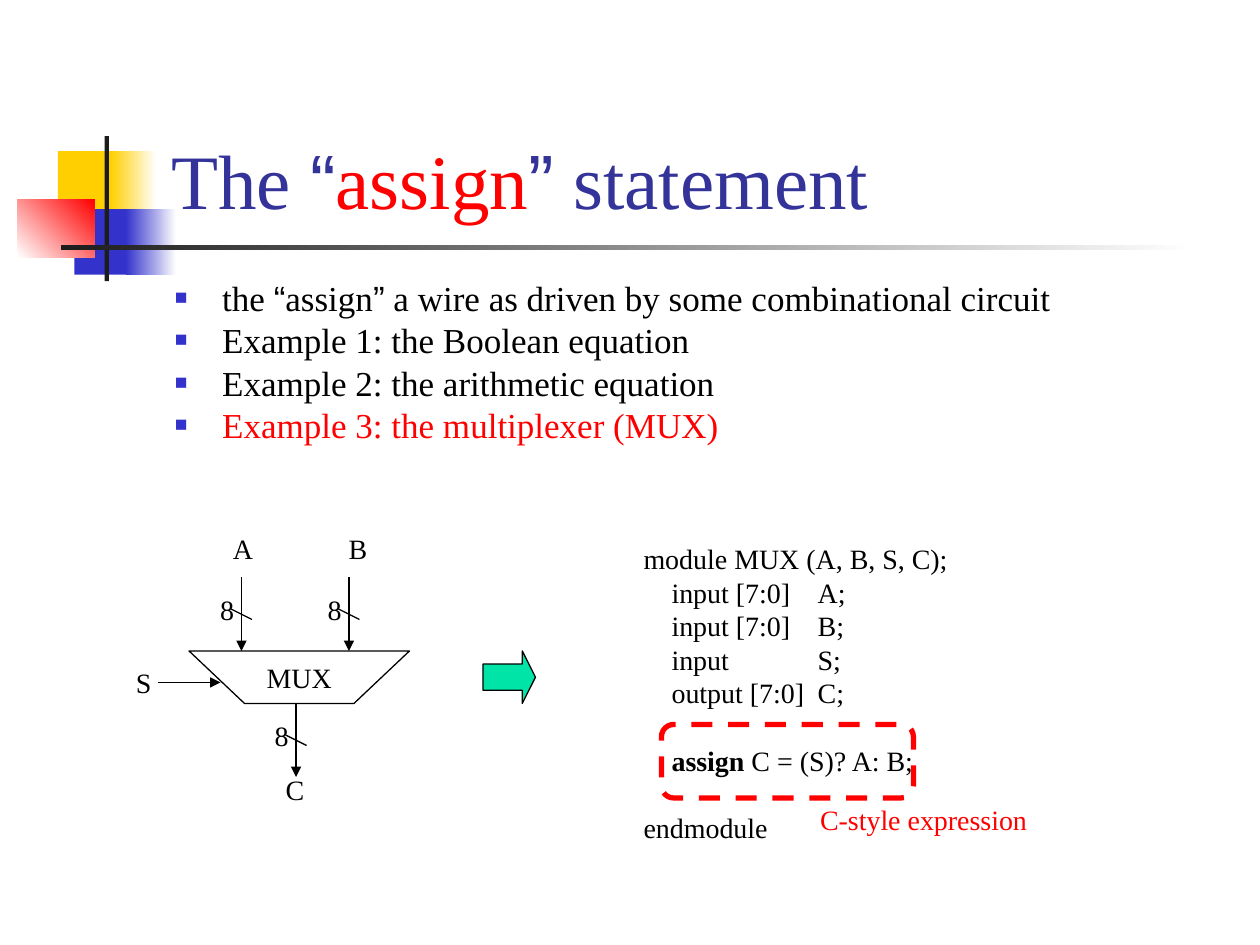
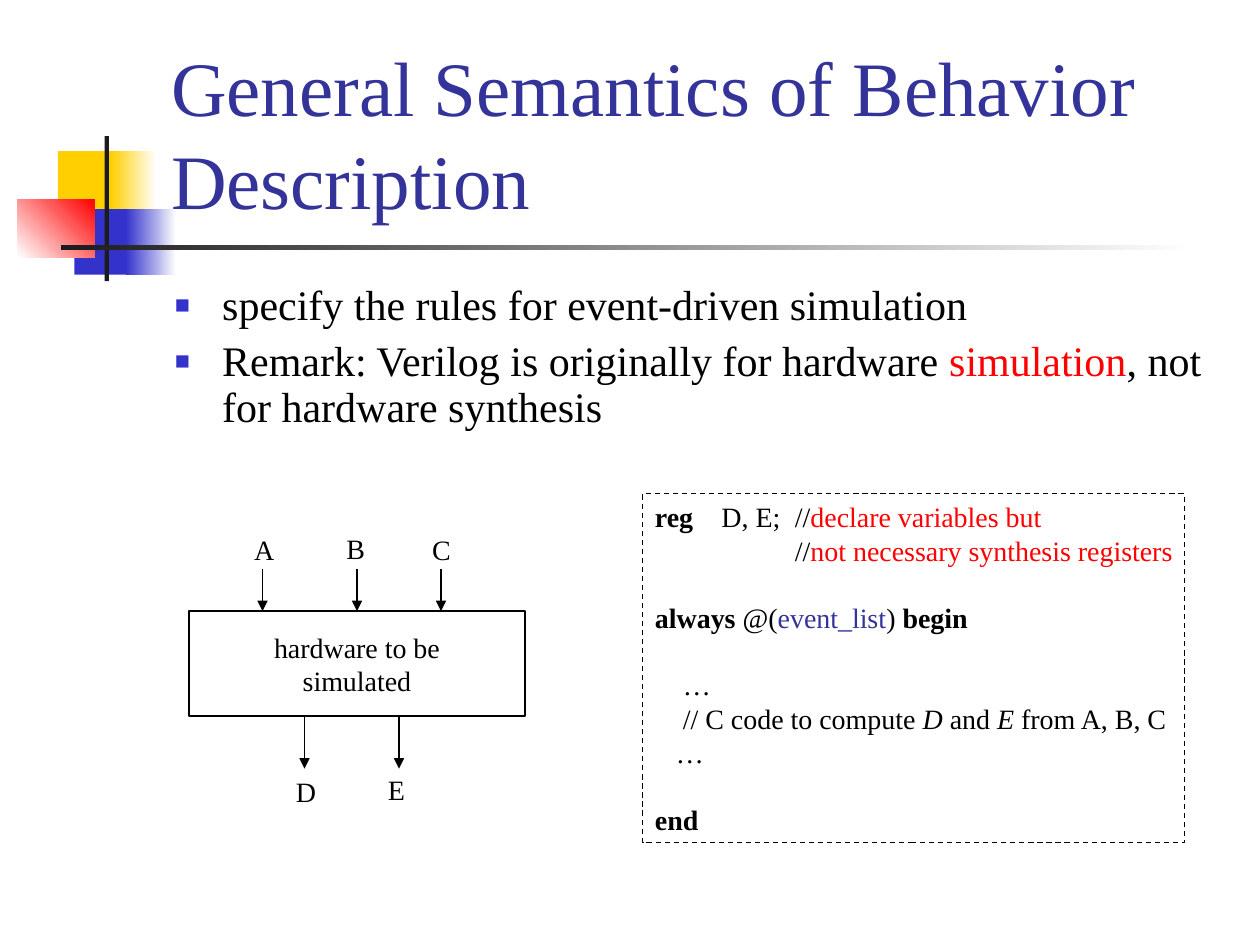
from lxml import etree
from pptx import Presentation
from pptx import util as u
from pptx.dml import color as c
from pptx.enum import dml, shapes, text
from pptx.oxml import ns

Pt = u.Pt
rgb = c.RGBColor.from_string
BLACK, WHITE, RED = "000000", "FFFFFF", "FF0000"
NAVY, BLUE, GOLD, CHARCOAL, GREEN = "333399", "3333CC", "FFCF01", "1C1C1C", "00E4A8"
SERIF, SANS = "Times New Roman", "Arial"
CODE_LINE = 19.2  # height of one line of 16 point text
BOLD, ITALIC = {"bold": True}, {"italic": True}
RED_TEXT, NAVY_TEXT, SANS_TEXT = {"color": RED}, {"color": NAVY}, {"name": SANS}


def write(shape, paragraphs, size=16, color=BLACK, centered=False,
          anchor=text.MSO_ANCHOR.TOP, spacing=None, before=0, bullets=False):
    """Each paragraph is (runs, extra space before, tab stops); a run is (text, style)."""
    frame = shape.text_frame
    frame.word_wrap = True
    frame.vertical_anchor = anchor
    frame.margin_left, frame.margin_right = Pt(7.2), Pt(7.2 if centered else 0)
    frame.margin_top = frame.margin_bottom = Pt(3.6)
    for index, (runs, gap, tabs) in enumerate(paragraphs):
        paragraph = frame.add_paragraph() if index else frame.paragraphs[0]
        paragraph.alignment = text.PP_ALIGN.CENTER if centered else text.PP_ALIGN.LEFT
        paragraph.space_before = Pt(before + gap)
        if spacing:
            paragraph.line_spacing = spacing
        properties = paragraph._p.get_or_add_pPr()
        if bullets:
            properties.set("marL", str(Pt(27)))
            properties.set("indent", str(Pt(-27)))
            bullet_color = etree.SubElement(properties, ns.qn("a:buClr"))
            etree.SubElement(bullet_color, ns.qn("a:srgbClr"), val=BLUE)
            etree.SubElement(properties, ns.qn("a:buSzPct"), val="60000")
            etree.SubElement(properties, ns.qn("a:buFont"), typeface=SANS)
            etree.SubElement(properties, ns.qn("a:buChar"), char="■")
        if tabs:
            tab_list = etree.SubElement(properties, ns.qn("a:tabLst"))
            for position in tabs:
                etree.SubElement(tab_list, ns.qn("a:tab"), pos=str(Pt(position)), algn="l")
        for words, style in runs:
            run = paragraph.add_run()
            run.text = words
            run.font.name = style.get("name", SERIF)
            run.font.size = Pt(size)
            run.font.bold = style.get("bold", False)
            run.font.italic = style.get("italic", False)
            run.font.color.rgb = rgb(style.get("color", color))


def draw_line(slide, x1, y1, x2, y2, arrow=True):
    line = slide.shapes.add_connector(
        shapes.MSO_CONNECTOR.STRAIGHT, Pt(x1), Pt(y1), Pt(x2), Pt(y2))
    line.line.color.rgb = rgb(BLACK)
    line.line.width = Pt(0.75)
    properties = line.element.spPr
    if arrow:
        etree.SubElement(properties.find(ns.qn("a:ln")), ns.qn("a:tailEnd"), type="triangle")
    etree.SubElement(properties, ns.qn("a:effectLst"))
    return line


presentation = Presentation()
presentation.slide_width, presentation.slide_height = Pt(720), Pt(540)
blank = presentation.slide_layouts[6]

# Shared ornament: left, top, width, height, start colour, end colour, angle
ornament = [
    (33.1, 86.4, 34.6, 37.4, GOLD, None, 0),
    (63.4, 86.4, 25.9, 37.4, GOLD, WHITE, 0),
    (42.5, 119.5, 33.1, 37.4, BLUE, None, 0),
    (72, 119.5, 28.8, 37.4, BLUE, WHITE, 0),
    (10.1, 113.8, 43.9, 33.1, WHITE, RED, 45),
    (59.8, 77.8, 2.4, 82.8, CHARCOAL, None, 0),
    (34.6, 140.2, 648, 2.6, CHARCOAL, WHITE, 0),
]

# Per slide: title runs, bullets, bullet size, line spacing, space before
contents = [
    ([("The ", {}), ("“", SANS_TEXT), ("assign", RED_TEXT), ("”", SANS_TEXT),
      (" statement", {})],
     [[("the ", {}), ("“", SANS_TEXT), ("assign", {}), ("”", SANS_TEXT),
       (" a wire as driven by some combinational circuit", {})],
      [("Example 1: the Boolean equation", {})],
      [("Example 2: the arithmetic equation", {})],
      [("Example 3: the multiplexer (MUX)", RED_TEXT)]],
     20, 0.8, 5),
    ([("General Semantics of Behavior Description", {})],
     [[("specify the rules for event-driven simulation", {})],
      [("Remark: Verilog is originally for hardware ", {}), ("simulation", RED_TEXT),
       (", not for hardware synthesis", {})]],
     24, 0.9, 6),
]

# Ornament, title and bullets of both slides
for title_runs, bullet_runs, size, spacing, before in contents:
    slide = presentation.slides.add_slide(blank)
    for left, top, width, height, start, end, angle in ornament:
        block = slide.shapes.add_shape(
            shapes.MSO_SHAPE.RECTANGLE, Pt(left), Pt(top), Pt(width), Pt(height))
        block.shadow.inherit = False
        block.line.fill.background()
        if end:
            block.fill.gradient()
            block.fill.gradient_angle = angle
            for stop, stop_color in zip(block.fill.gradient_stops, (start, end)):
                stop.color.rgb = rgb(stop_color)
        else:
            block.fill.solid()
            block.fill.fore_color.rgb = rgb(start)
    title = slide.shapes.add_textbox(Pt(90.7), Pt(16.6), Pt(613.4), Pt(115.2))
    write(title, [(title_runs, 0, ())], 44, NAVY, anchor=text.MSO_ANCHOR.BOTTOM)
    body = slide.shapes.add_textbox(Pt(92.9), Pt(159.1), Pt(612), Pt(111))
    write(body, [(runs, 0, ()) for runs in bullet_runs], size,
          spacing=spacing, before=before, bullets=True)

assign_slide, behavior_slide = presentation.slides

# Slide 1: module listing
ports = (16, 99.5)
module_code = assign_slide.shapes.add_textbox(Pt(360.7), Pt(306), Pt(200), Pt(180))
write(module_code, [
    ([("module MUX (A, B, S, C);", {})], 0, ()),
    ([("\tinput [7:0]\tA;", {})], 0, ports),
    ([("\tinput [7:0]\tB;", {})], 0, ports),
    ([("\tinput\tS;", {})], 0, ports),
    ([("\toutput [7:0]\tC;", {})], 0, ports),
    ([("\t", {}), ("assign", BOLD), (" C = (S)? A: B;", {})], CODE_LINE, ports),
    ([("endmodule", {})], CODE_LINE, ()),
])

# Slide 1: multiplexer with its 8-bit wires and the select input
outline = assign_slide.shapes.build_freeform(Pt(108), Pt(372))
outline.add_line_segments(
    [(Pt(139.7), Pt(402)), (Pt(202.3), Pt(402)), (Pt(234), Pt(372))], close=True)
multiplexer = outline.convert_to_shape()
write(multiplexer, [([("MUX", {})], 0, ())], centered=True, anchor=text.MSO_ANCHOR.MIDDLE)

labels = []
for x, y in ((138, 330), (199.4, 330), (169.2, 402)):
    draw_line(assign_slide, x, y, x, y + 42)
    draw_line(assign_slide, x - 6, y + 18, x + 6, y + 24, arrow=False)
    labels.append((assign_slide, "8", x - 19.3, y + 5))
draw_line(assign_slide, 90, 390, 126, 390)

# Slide 1: highlight around the assignment, and the block arrow
highlight = assign_slide.shapes.add_shape(
    shapes.MSO_SHAPE.ROUNDED_RECTANGLE, Pt(378), Pt(414), Pt(144), Pt(42))
remark = assign_slide.shapes.add_textbox(Pt(461.5), Pt(455), Pt(140), Pt(26.6))
write(remark, [([("C-style expression", {})], 0, ())], color=RED)
block_arrow = assign_slide.shapes.add_shape(
    shapes.MSO_SHAPE.RIGHT_ARROW, Pt(276), Pt(372), Pt(30), Pt(30))
block_arrow.adjustments[0], block_arrow.adjustments[1] = 0.5, 0.25

# Slide 2: simulated hardware and its signals
hardware = behavior_slide.shapes.add_shape(
    shapes.MSO_SHAPE.RECTANGLE, Pt(108), Pt(349.2), Pt(192), Pt(60))
write(hardware, [([("hardware to be", {})], 0, ()), ([("simulated", {})], 0, ())],
      centered=True, anchor=text.MSO_ANCHOR.MIDDLE)
for x in (150, 204, 252):
    signal = draw_line(behavior_slide, x, 325.4, x, 349.2)
    if x == 204:
        signal.end_connect(hardware, 0)
for x in (174, 228):
    draw_line(behavior_slide, x, 409.2, x, 439.2)

# Slide 2: behavior listing
behavior_code = behavior_slide.shapes.add_shape(
    shapes.MSO_SHAPE.RECTANGLE, Pt(367.2), Pt(282.2), Pt(309.6), Pt(199.4))
write(behavior_code, [
    ([("reg", BOLD), ("\tD, E;\t//", {}), ("declare variables but", RED_TEXT)], 0, (38, 80)),
    ([("\t//", {}), ("not necessary synthesis registers", RED_TEXT)], 0, (80,)),
    ([("always", BOLD), (" @(", {}), ("event_list", NAVY_TEXT), (") ", {}),
      ("begin", BOLD)], CODE_LINE, ()),
    ([("\t…", {})], CODE_LINE, (16,)),
    ([("\t// C code to compute ", {}), ("D", ITALIC), (" and ", {}), ("E ", ITALIC),
      ("from A, B, C", {})], 0, (16,)),
    ([("\t…", {})], 0, (12,)),
    ([("end", BOLD)], CODE_LINE, ()),
])

# Outlines and fills of the diagram shapes
for shape, line_color, width, dashed, fill in (
    (multiplexer, BLACK, 0.75, False, None),
    (highlight, RED, 3, True, None),
    (block_arrow, BLACK, 0.75, False, GREEN),
    (hardware, BLACK, 0.75, False, None),
    (behavior_code, BLACK, 0.75, True, None),
):
    shape.shadow.inherit = False
    shape.line.color.rgb = rgb(line_color)
    shape.line.width = Pt(width)
    if dashed:
        shape.line.dash_style = dml.MSO_LINE.DASH
    if fill:
        shape.fill.solid()
        shape.fill.fore_color.rgb = rgb(fill)
    else:
        shape.fill.background()

# Signal names on both slides
labels += [
    (assign_slide, "A", 126, 300.2), (assign_slide, "B", 192.2, 300.2),
    (assign_slide, "S", 70.6, 376.6), (assign_slide, "C", 156.2, 437.8),
    (behavior_slide, "A", 138.2, 301), (behavior_slide, "B", 190.8, 300.2),
    (behavior_slide, "C", 239.8, 301), (behavior_slide, "D", 162, 439.2),
    (behavior_slide, "E", 214.6, 437.8),
]
for slide, name, left, top in labels:
    label = slide.shapes.add_textbox(Pt(left), Pt(top), Pt(26), Pt(26.6))
    write(label, [([(name, {})], 0, ())])

presentation.save("out.pptx")
